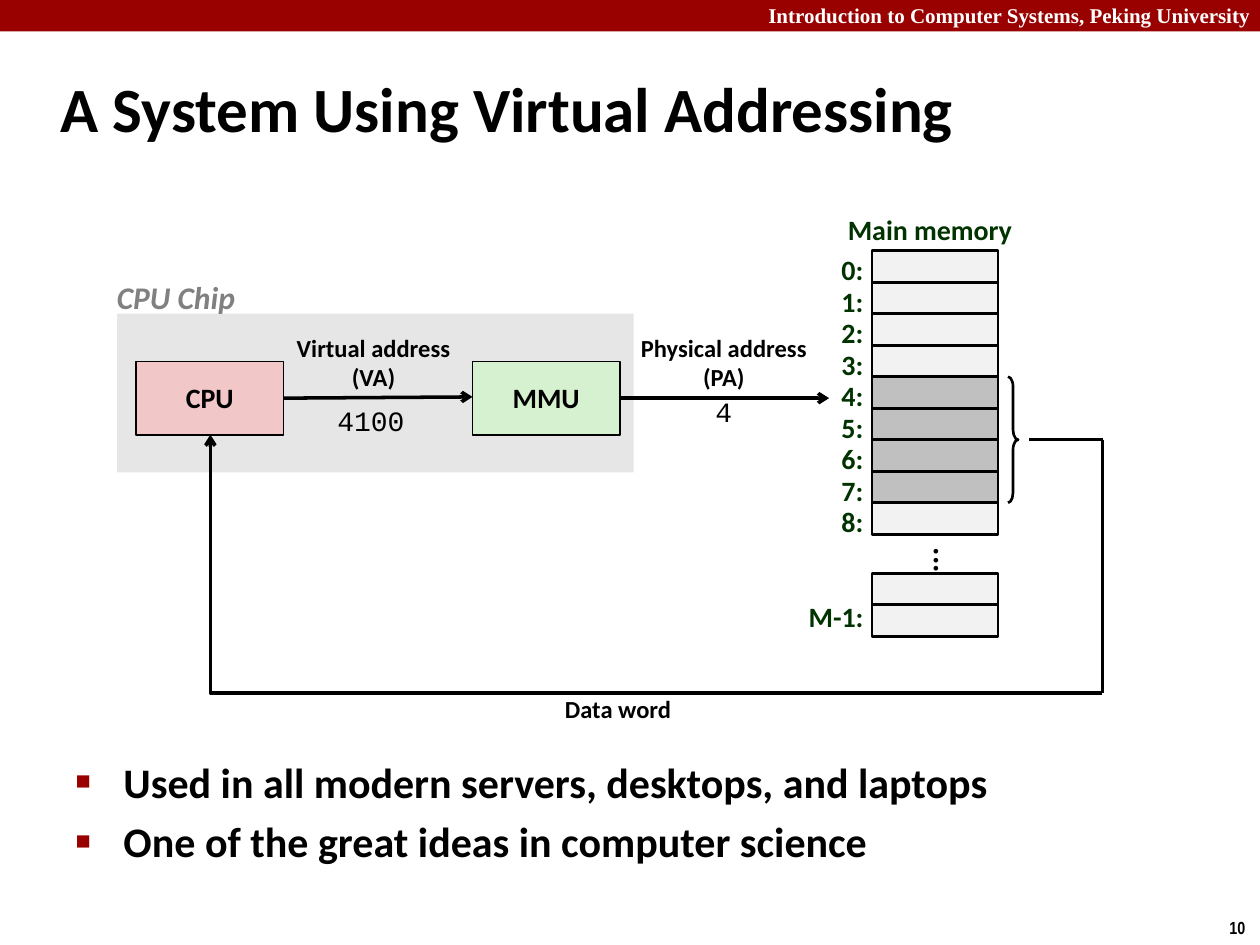
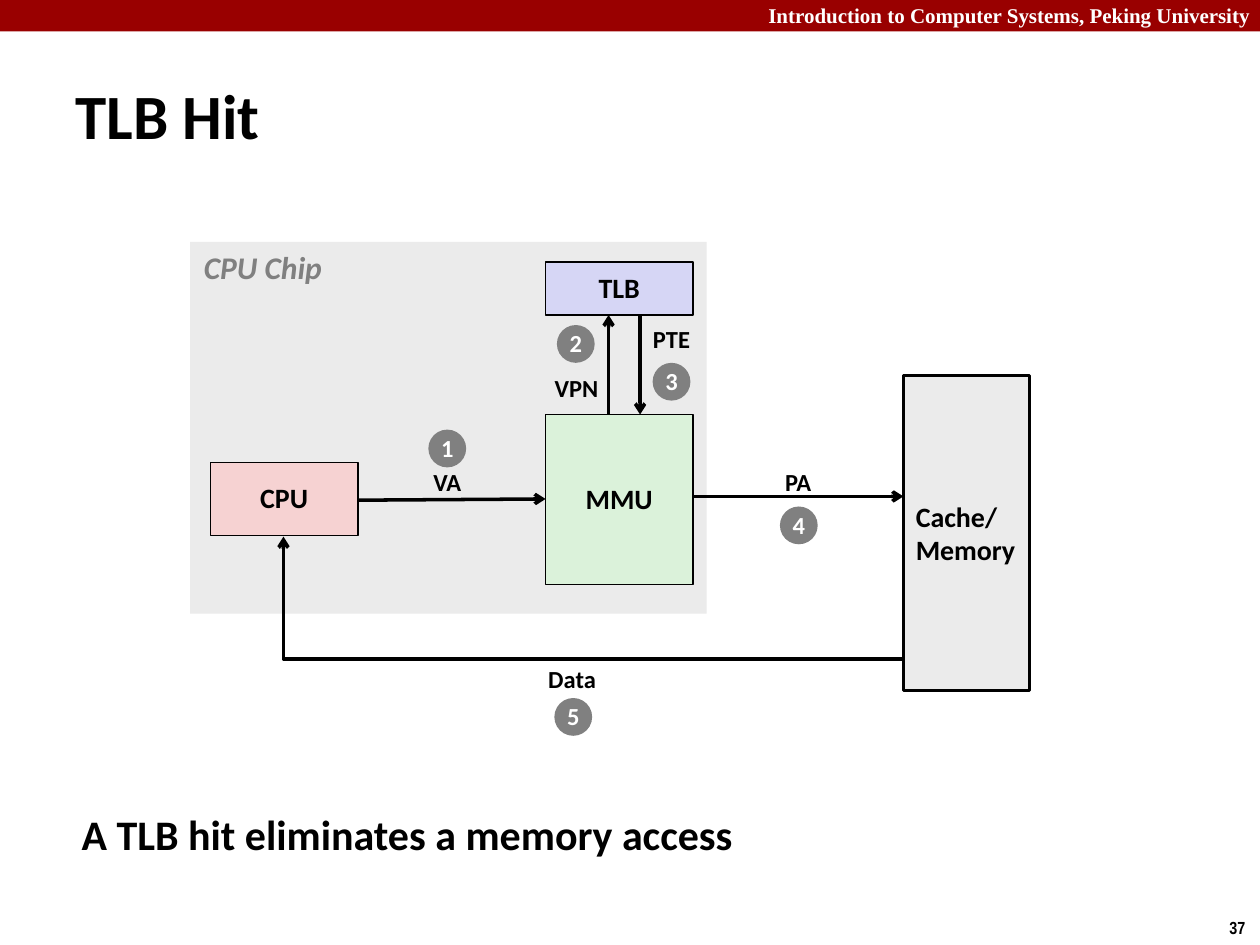
from lxml.etree import SubElement
from pptx import Presentation
from pptx.dml.color import RGBColor
from pptx.enum.shapes import MSO_CONNECTOR, MSO_SHAPE
from pptx.enum.text import MSO_ANCHOR, MSO_AUTO_SIZE, PP_ALIGN
from pptx.oxml.ns import qn
from pptx.util import Emu, Pt

EMU_PER_PX = 9144  # 100 px to the inch
COLORS = {
    "black": "000000", "white": "FFFFFF", "band": "990000",
    "address": "003300", "gray": "808080", "chip": "E6E6E6",
    "pale gray": "EBEBEB", "cell": "F2F2F2", "selected": "C0C0C0",
    "cpu": "F1C7C7", "mmu": "D5F1CF",
    "light cpu": "F6D2D2", "light mmu": "DBF2DA", "tlb": "D6D6F5",
}
LAYOUT_TITLE_AND_BODY, LAYOUT_TITLE_ONLY = 1, 5


def px(*lengths):
    return [Emu(length * EMU_PER_PX) for length in lengths]


def color(name):
    return RGBColor.from_string(COLORS[name])


class Deck:
    """Holds the shared style and the slide being drawn."""

    def __init__(self):
        self.presentation = Presentation()
        self.presentation.slide_width, self.presentation.slide_height = px(1000, 750)
        self.slide = None

    def new_slide(self, layout, title, left, top, number):
        layouts = self.presentation.slide_layouts
        self.slide = self.presentation.slides.add_slide(layouts[layout])
        self.box(0, 0, 1000, 25, "band")
        self.text("Introduction to Computer Systems, Peking University",
                  600, -3, 407, 30, 12, "white", font="Times New Roman", wrap=True)
        self.text(str(number), 966, 723, 34, 27, 10, font="Arial Narrow")
        shape = self.slide.shapes.title
        self.place(shape, left, top, 953, 86)
        self.fill_text(shape, title, 36, anchor=MSO_ANCHOR.MIDDLE, wrap=True)

    def place(self, shape, left, top, width, height):
        shape.left, shape.top, shape.width, shape.height = px(left, top, width, height)

    def fill_text(self, shape, text, size, ink="black", font="Calibri", bold=True,
                  italic=False, align=PP_ALIGN.LEFT, anchor=MSO_ANCHOR.TOP,
                  spacing=1.0, wrap=False, grow=False):
        frame = shape.text_frame
        frame.text = text
        frame.word_wrap = wrap
        frame.vertical_anchor = anchor
        frame.auto_size = (MSO_AUTO_SIZE.SHAPE_TO_FIT_TEXT if grow
                           else MSO_AUTO_SIZE.NONE)
        for paragraph in frame.paragraphs:
            paragraph.alignment = align
            paragraph.line_spacing = spacing
            paragraph.space_before = Pt(0)
            for run in paragraph.runs:
                run.font.size, run.font.name = Pt(size), font
                run.font.bold, run.font.italic = bold, italic
                run.font.color.rgb = color(ink)

    def text(self, text, left, top, width, height, size, ink="black", **style):
        shape = self.slide.shapes.add_textbox(*px(left, top, width, height))
        self.fill_text(shape, text, size, ink, grow=True, **style)

    def label(self, text, left, top, width, height=33):
        self.text(text, left, top, width, height, 14, align=PP_ALIGN.CENTER,
                  anchor=MSO_ANCHOR.MIDDLE, spacing=0.98)

    def memory_label(self, text, left, top, width, align=PP_ALIGN.LEFT):
        self.text(text, left, top, width, 33, 16, "address",
                  align=align, spacing=0.88)

    def chip_label(self, left, top):
        self.text("CPU Chip", left, top, 116, 40, 18, "gray", italic=True)

    def box(self, left, top, width, height, fill=None, line=None,
            kind=MSO_SHAPE.RECTANGLE):
        shape = self.slide.shapes.add_shape(kind, *px(left, top, width, height))
        shape.shadow.inherit = False
        if fill:
            shape.fill.solid()
            shape.fill.fore_color.rgb = color(fill)
        else:
            shape.fill.background()
        if line:
            shape.line.color.rgb = color("black")
            shape.line.width = Pt(line)
        else:
            shape.line.fill.background()
        return shape

    def unit(self, text, left, top, height, fill):
        shape = self.box(left, top, 117, height, fill, line=1)
        self.fill_text(shape, text, 16, align=PP_ALIGN.CENTER,
                       anchor=MSO_ANCHOR.MIDDLE, spacing=0.98)

    def step(self, number, left, top):
        shape = self.box(left, top, 30, 30, "gray", kind=MSO_SHAPE.OVAL)
        self.fill_text(shape, str(number), 14, "white", align=PP_ALIGN.CENTER,
                       anchor=MSO_ANCHOR.MIDDLE, spacing=0.98)

    def line(self, start, end, arrow=True, bent=False):
        kind = MSO_CONNECTOR.ELBOW if bent else MSO_CONNECTOR.STRAIGHT
        connector = self.slide.shapes.add_connector(kind, *px(*start, *end))
        connector.line.color.rgb = color("black")
        connector.line.width = Pt(2)
        properties = connector.element.spPr
        if bent:  # a single corner: across, then up
            properties.find(qn("a:prstGeom")).set("prst", "bentConnector2")
        if arrow:
            SubElement(properties.find(qn("a:ln")), qn("a:tailEnd"), type="arrow")
        SubElement(properties, qn("a:effectLst"))

    def bullets(self, items, left, top, width, height):
        shape = self.slide.placeholders[1]
        self.place(shape, left, top, width, height)
        self.fill_text(shape, "\n".join(items), 24, wrap=True)
        for index, paragraph in enumerate(shape.text_frame.paragraphs):
            paragraph.space_before = Pt(5 if index else 0)
            properties = paragraph._p.get_or_add_pPr()
            indent = px(38)[0]
            properties.set("marL", str(indent))
            properties.set("indent", str(-indent))
            bullet_color = SubElement(properties, qn("a:buClr"))
            SubElement(bullet_color, qn("a:srgbClr"), val=COLORS["band"])
            SubElement(properties, qn("a:buSzPct"), val="60000")
            SubElement(properties, qn("a:buChar"), char="■")


def virtual_addressing(deck):
    deck.new_slide(LAYOUT_TITLE_AND_BODY, "A System Using Virtual Addressing",
                   38, 42, 10)
    deck.bullets(["Used in all modern servers, desktops, and laptops",
                  "One of the great ideas in computer science"], 50, 595, 909, 138)

    # CPU chip
    deck.box(93, 249, 410, 126, "chip")
    deck.chip_label(83, 216)
    deck.unit("CPU", 108, 287, 58, "cpu")
    deck.unit("MMU", 375, 287, 58, "mmu")

    # Main memory: words 0 to 8, a gap, then the last two
    cell_left, cell_top, cell_height = 692, 199, 25
    deck.memory_label("Main memory", 662, 167, 152, PP_ALIGN.CENTER)
    for address in range(9):
        top = cell_top + address * cell_height
        fill = "selected" if 4 <= address <= 7 else "cell"
        deck.box(cell_left, top, 100, cell_height, fill, line=1.5)
        deck.memory_label(f"{address}:", 658, top, 37)
    for top in (455, 480):
        deck.box(cell_left, top, 100, cell_height, "cell", line=1.5)
    deck.memory_label("M-1:", 632, 474, 64)
    dots = deck.slide.shapes.add_textbox(*px(700, 425, 100, 25))
    deck.fill_text(dots, "...", 18, align=PP_ALIGN.CENTER,
                   anchor=MSO_ANCHOR.MIDDLE, spacing=0.98)
    dots.element.txBody.bodyPr.set("vert", "eaVert")
    brace = deck.box(800, 299, 8, 100, line=1.5, kind=MSO_SHAPE.RIGHT_BRACE)
    brace.adjustments[0] = 1.0

    # Addresses out, data word back
    deck.line((225, 316), (375, 315))
    deck.line((492, 316), (658, 316))
    deck.line((817, 349), (875, 349), arrow=False)
    deck.line((875, 349), (875, 550), arrow=False)
    deck.line((875, 550), (167, 345), bent=True)
    deck.label("Virtual address\n(VA)", 225, 260, 143, 57)
    deck.label("Physical address\n(PA)", 498, 260, 153, 57)
    deck.label("Data word", 438, 547, 105)
    for value, left, top, width in (("4100", 258, 315, 74), ("4", 558, 308, 34)):
        deck.text(value, left, top, width, 37, 16, font="Courier New", bold=False)


def tlb_hit(deck):
    deck.new_slide(LAYOUT_TITLE_ONLY, "TLB Hit", 50, 48, 37)

    # CPU chip and memory
    deck.box(151, 192, 410, 295, "pale gray")
    deck.chip_label(152, 192)
    deck.unit("CPU", 167, 367, 58, "light cpu")
    deck.unit("MMU", 433, 329, 135, "light mmu")
    deck.unit("TLB", 433, 208, 42, "tlb")
    memory = deck.box(717, 298, 100, 250, "pale gray", line=1.5)
    deck.fill_text(memory, "Cache/\nMemory", 16, anchor=MSO_ANCHOR.MIDDLE)

    # Transfers
    deck.line((284, 397), (433, 396))
    deck.line((483, 329), (483, 250))
    deck.line((508, 250), (508, 329))
    deck.line((550, 394), (717, 394))
    deck.line((717, 523), (225, 426), bent=True)

    # Step numbers and what each step carries
    steps = [
        ((340, 341), "VA", (334, 367, 42)),
        ((442, 258), "VPN", (430, 292, 55)),
        ((518, 288), "PTE", (508, 253, 50)),
        ((619, 402), "PA", (613, 367, 41)),
        ((440, 554), "Data", (425, 523, 58)),
    ]
    for number, (circle, name, place) in enumerate(steps, start=1):
        deck.step(number, *circle)
        deck.label(name, *place)

    deck.text("A TLB hit eliminates a memory access", 55, 637, 786, 63, 24, wrap=True)


def main():
    deck = Deck()
    virtual_addressing(deck)
    tlb_hit(deck)
    deck.presentation.save("out.pptx")


if __name__ == "__main__":
    main()
